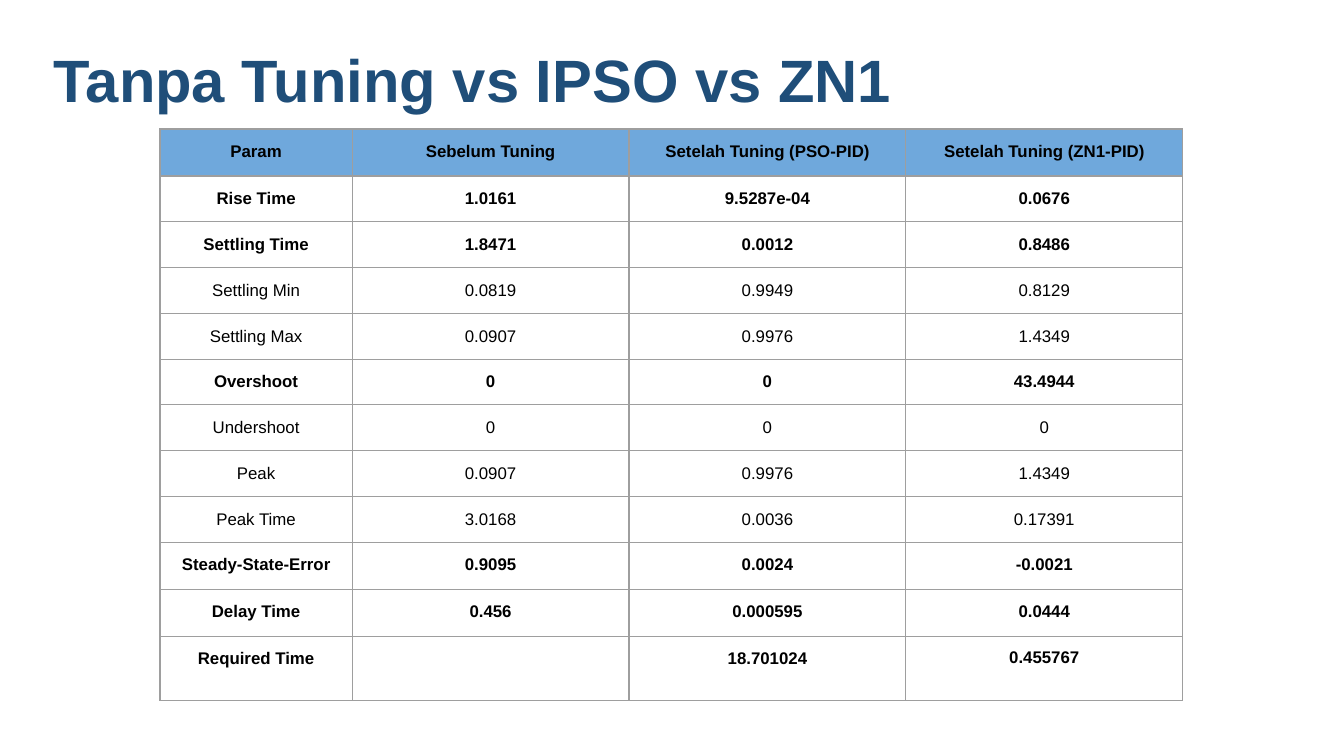
import pptx
import pptx.util
import pptx.dml.color
import pptx.enum.text
import pptx.oxml
import pptx.oxml.ns

Inches = pptx.util.Inches
Pt = pptx.util.Pt
COLORS = {"title": "1F4E79", "header": "6FA8DC", "text": "000000", "border": "9E9E9E"}
FONT = "Arial"
COLUMNS = [1.43, 2.06, 2.06, 2.06]
ROWS = [0.35] + [0.33] * 8 + [0.35] * 2 + [0.48]
PLAIN = {"Settling Min", "Settling Max", "Undershoot", "Peak", "Peak Time"}
RESULTS = [
    ["Param", "Sebelum Tuning", "Setelah Tuning (PSO-PID)", "Setelah Tuning (ZN1-PID)"],
    ["Rise Time", "1.0161", "9.5287e-04", "0.0676"],
    ["Settling Time", "1.8471", "0.0012", "0.8486"],
    ["Settling Min", "0.0819", "0.9949", "0.8129"],
    ["Settling Max", "0.0907", "0.9976", "1.4349"],
    ["Overshoot", "0", "0", "43.4944"],
    ["Undershoot", "0", "0", "0"],
    ["Peak", "0.0907", "0.9976", "1.4349"],
    ["Peak Time", "3.0168", "0.0036", "0.17391"],
    ["Steady-State-Error", "0.9095", "0.0024", "-0.0021"],
    ["Delay Time", "0.456", "0.000595", "0.0444"],
    ["Required Time", "", "18.701024", "0.455767"],
]


def add_span(para, text, size, color, bold):
    span = para.add_run()
    span.text = text
    span.font.name = FONT
    span.font.size = Pt(size)
    span.font.bold = bold
    span.font.color.rgb = pptx.dml.color.RGBColor.from_string(COLORS[color])


def add_borders(cell):
    properties = cell._tc.get_or_add_tcPr()
    for index, side in enumerate(["lnL", "lnR", "lnT", "lnB"]):
        properties.insert(index, pptx.oxml.parse_xml(
            f'<a:{side} {pptx.oxml.ns.nsdecls("a")} w="{Pt(0.75)}"><a:solidFill>'
            f'<a:srgbClr val="{COLORS["border"]}"/></a:solidFill></a:{side}>'))


deck = pptx.Presentation()
deck.slide_width = Inches(10)
deck.slide_height = deck.slide_width * 9 // 16
page = deck.slides.add_slide(deck.slide_layouts[5])

title = page.shapes.title
title.left, title.top, title.width, title.height = map(Inches, (0.33, 0.16, 7.5, 0.92))
frame = title.text_frame
frame.word_wrap = True
frame.auto_size = pptx.enum.text.MSO_AUTO_SIZE.NONE
frame.vertical_anchor = pptx.enum.text.MSO_ANCHOR.MIDDLE
frame.margin_left = frame.margin_right = Inches(0.07)
frame.margin_top = frame.margin_bottom = Inches(0.04)
heading = frame.paragraphs[0]
heading.alignment = pptx.enum.text.PP_ALIGN.LEFT
heading.line_spacing = 0.9
add_span(heading, "Tanpa Tuning vs IPSO vs ZN1", 32, "title", True)

table = page.shapes.add_table(
    len(ROWS), len(COLUMNS), Inches(1.19), Inches(0.96),
    Inches(sum(COLUMNS)), Inches(sum(ROWS))).table
table.horz_banding = False
for column, width in zip(table.columns, COLUMNS):
    column.width = Inches(width)
for row, height, values in zip(table.rows, ROWS, RESULTS):
    row.height = Inches(height)
    for cell, value in zip(row.cells, values):
        if values is RESULTS[0]:
            cell.fill.solid()
            cell.fill.fore_color.rgb = pptx.dml.color.RGBColor.from_string(COLORS["header"])
        else:
            cell.fill.background()
        add_borders(cell)
        if value:
            cell.margin_left = cell.margin_right = Inches(0.1)
            cell.margin_top = cell.margin_bottom = Inches(0.1)
            para = cell.text_frame.paragraphs[0]
            para.alignment = pptx.enum.text.PP_ALIGN.CENTER
            add_span(para, value, 9, "text", values[0] not in PLAIN)

table.cell(len(ROWS) - 1, 3).text_frame.paragraphs[0].line_spacing = 0.9

deck.save("out.pptx")
